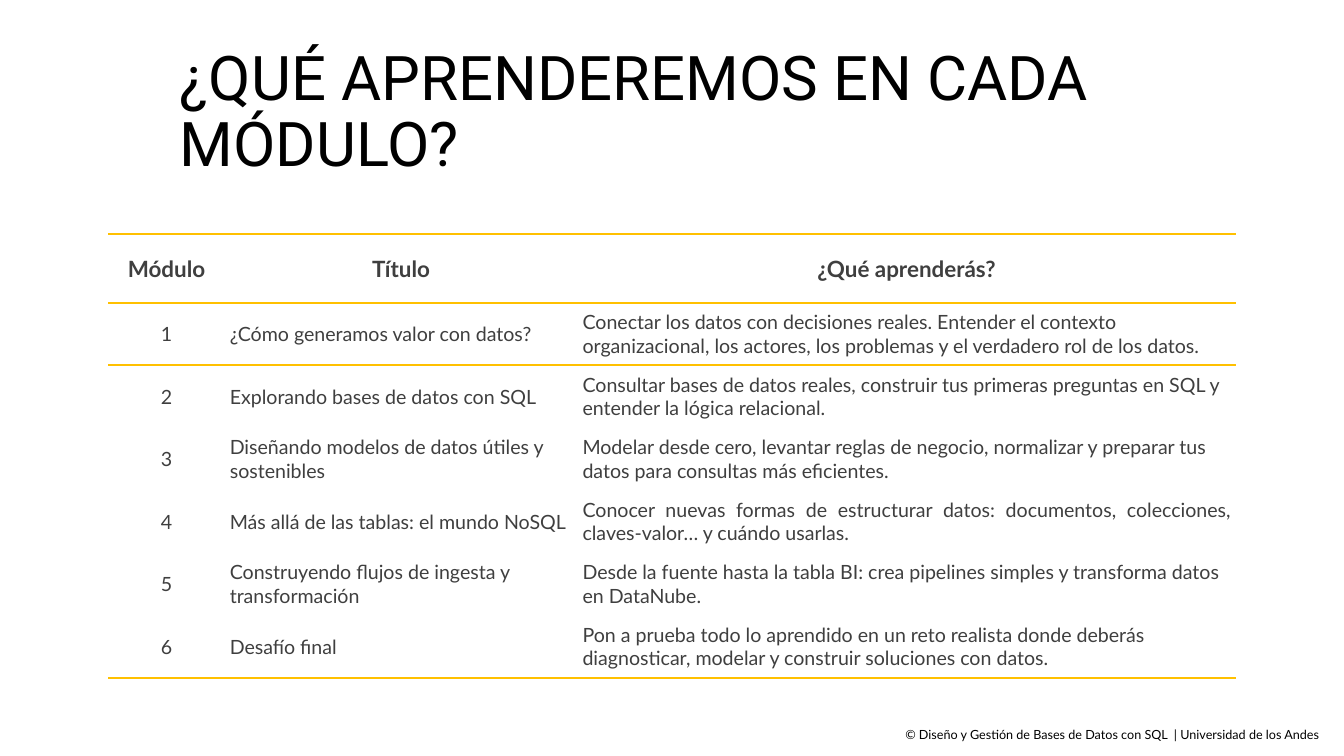
from lxml.etree import SubElement
from pptx import Presentation
from pptx.dml.color import RGBColor
from pptx.enum.text import MSO_ANCHOR as Anchor, PP_ALIGN as Align
from pptx.oxml import parse_xml
from pptx.oxml.ns import nsdecls, qn
from pptx.util import Inches, Pt

BLACK = RGBColor(0x00, 0x00, 0x00)
GREY = RGBColor(0x3F, 0x3F, 0x3F)
WHITE = RGBColor(0xFF, 0xFF, 0xFF)
GOLD = RGBColor(0xFF, 0xC0, 0x00)
PLAIN_TABLE = "{2D5ABB26-0587-4C30-8999-92F81FD0307C}"

HEADINGS = ("Módulo", "Título", "¿Qué aprenderás?")
MODULES = [
    ("¿Cómo generamos valor con datos?",
     "Conectar los datos con decisiones reales. Entender el contexto organizacional, "
     "los actores, los problemas y el verdadero rol de los datos."),
    ("Explorando bases de datos con SQL",
     "Consultar bases de datos reales, construir tus primeras preguntas en SQL y "
     "entender la lógica relacional."),
    ("Diseñando modelos de datos útiles y sostenibles",
     "Modelar desde cero, levantar reglas de negocio, normalizar y preparar tus datos "
     "para consultas más eficientes."),
    ("Más allá de las tablas: el mundo NoSQL",
     "Conocer nuevas formas de estructurar datos: documentos, colecciones, "
     "claves-valor… y cuándo usarlas."),
    ("Construyendo flujos de ingesta y transformación",
     "Desde la fuente hasta la tabla BI: crea pipelines simples y transforma datos "
     "en DataNube."),
    ("Desafío final",
     "Pon a prueba todo lo aprendido en un reto realista donde deberás diagnosticar, "
     "modelar y construir soluciones con datos."),
]
JUSTIFIED_MODULE = 4
COLUMN_WIDTHS = (2.31, 7, 13.06)
HEADER_HEIGHT, ROW_HEIGHT = 1.37, 1.24


class SlideBuilder:
    """Holds the style and the current slide."""
    body_font = "Lato"
    title_font = "Roboto"

    def __init__(self, slide):
        self.slide = slide

    def add_span(self, para, text, size, color, font=body_font, bold=False):
        span = para.add_run()
        span.text = text
        span.font.name = font
        span.font.size = Pt(size)
        span.font.bold = bold
        span.font.color.rgb = color

    def add_text(self, place, text, size, font=body_font, align=Align.LEFT,
                 anchor=Anchor.TOP, spacing=None):
        box = self.slide.shapes.add_textbox(*(Inches(length) for length in place))
        frame = box.text_frame
        frame.word_wrap = True
        frame.vertical_anchor = anchor
        para = frame.paragraphs[0]
        para.alignment = align
        para.line_spacing = spacing
        self.add_span(para, text, size, BLACK, font)

    def add_grid(self, left, top, widths, heights):
        frame = self.slide.shapes.add_table(
            len(heights), len(widths), Inches(left), Inches(top),
            Inches(sum(widths)), Inches(sum(heights)))
        table = frame.table
        table.first_row = table.horz_banding = False
        table._tbl.tblPr.find(qn("a:tableStyleId")).text = PLAIN_TABLE
        for column, width in zip(table.columns, widths):
            column.width = Inches(width)
        for row, height in zip(table.rows, heights):
            row.height = Inches(height)
        return table

    def fill_cell(self, cell, text, size, align, bold=False, edges=()):
        cell.vertical_anchor = Anchor.MIDDLE
        cell.fill.solid()
        cell.fill.fore_color.rgb = WHITE
        properties = cell._tc.get_or_add_tcPr()
        tint = properties.find(qn("a:solidFill"))[0]
        SubElement(tint, qn("a:alpha")).set("val", "72000")
        # Borders come before the fill, top first
        for position, edge in enumerate(edges):
            properties.insert(position, parse_xml(
                f'<a:{edge} {nsdecls("a")} w="{Pt(3)}"><a:solidFill>'
                f'<a:srgbClr val="{GOLD}"/></a:solidFill></a:{edge}>'))
        para = cell.text_frame.paragraphs[0]
        para.alignment = align
        self.add_span(para, text, size, GREY, bold=bold)


def main():
    deck = Presentation()
    deck.slide_width, deck.slide_height = Inches(26.67), Inches(15)
    page = SlideBuilder(deck.slides.add_slide(deck.slide_layouts[6]))

    # Title
    page.add_text((3.47, 0.8, 19.7, 2.9), "¿QUÉ APRENDEREMOS EN CADA MÓDULO?", 88,
                  font=page.title_font, anchor=Anchor.MIDDLE, spacing=0.9)

    # Footer
    page.add_text((0.32, 14.38, 26.02, 0.4),
                  "© Diseño y Gestión de Bases de Datos con SQL  | Universidad de los Andes ",
                  18, align=Align.RIGHT)

    # Module table: header, then one row per module
    heights = [HEADER_HEIGHT] + [ROW_HEIGHT] * len(MODULES)
    table = page.add_grid(2.15, 4.64, COLUMN_WIDTHS, heights)
    for column, heading in enumerate(HEADINGS):
        page.fill_cell(table.cell(0, column), heading, 32, Align.CENTER, bold=True,
                       edges=("lnT", "lnB"))
    row_edges = {1: ("lnT",), len(MODULES): ("lnB",)}
    for number, (title, goal) in enumerate(MODULES, start=1):
        goal_align = Align.JUSTIFY if number == JUSTIFIED_MODULE else Align.LEFT
        aligns = (Align.CENTER, Align.LEFT, goal_align)
        for column, text in enumerate((str(number), title, goal)):
            page.fill_cell(table.cell(number, column), text, 28, aligns[column],
                           edges=row_edges.get(number, ()))

    deck.save("out.pptx")


if __name__ == "__main__":
    main()
